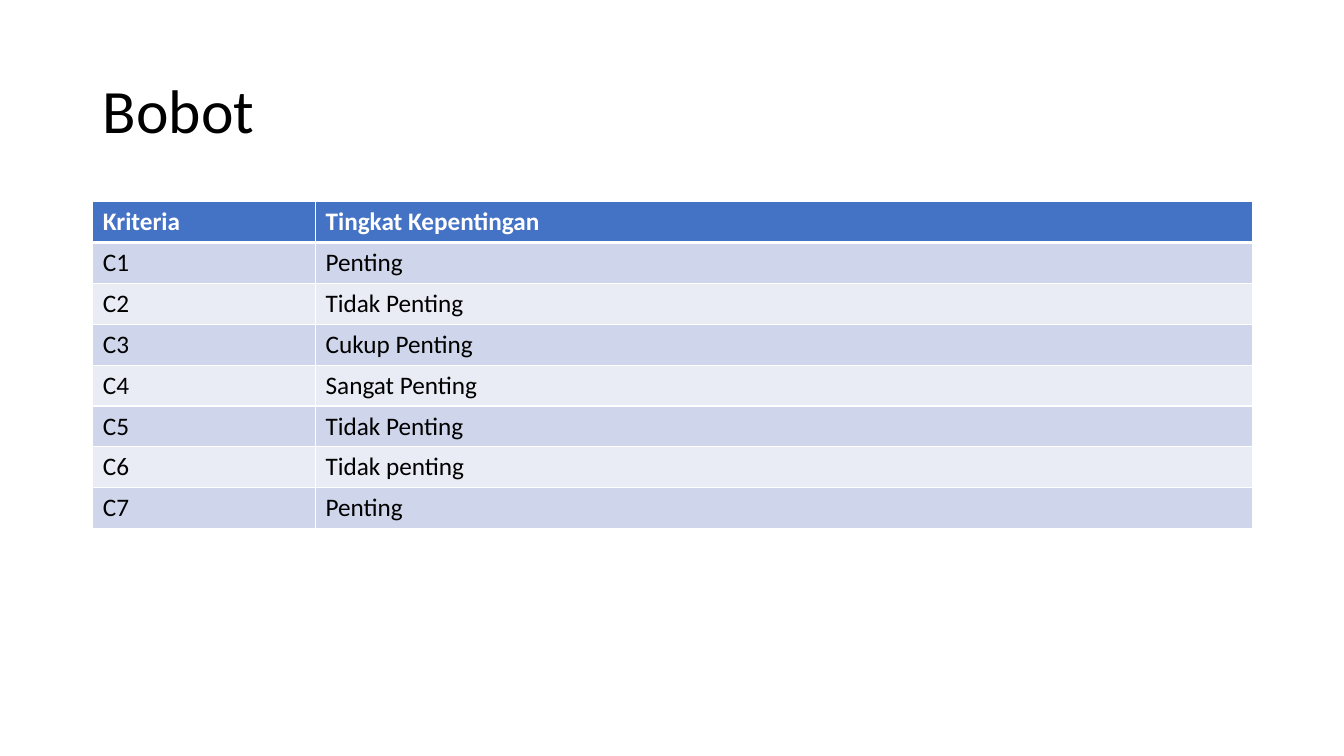
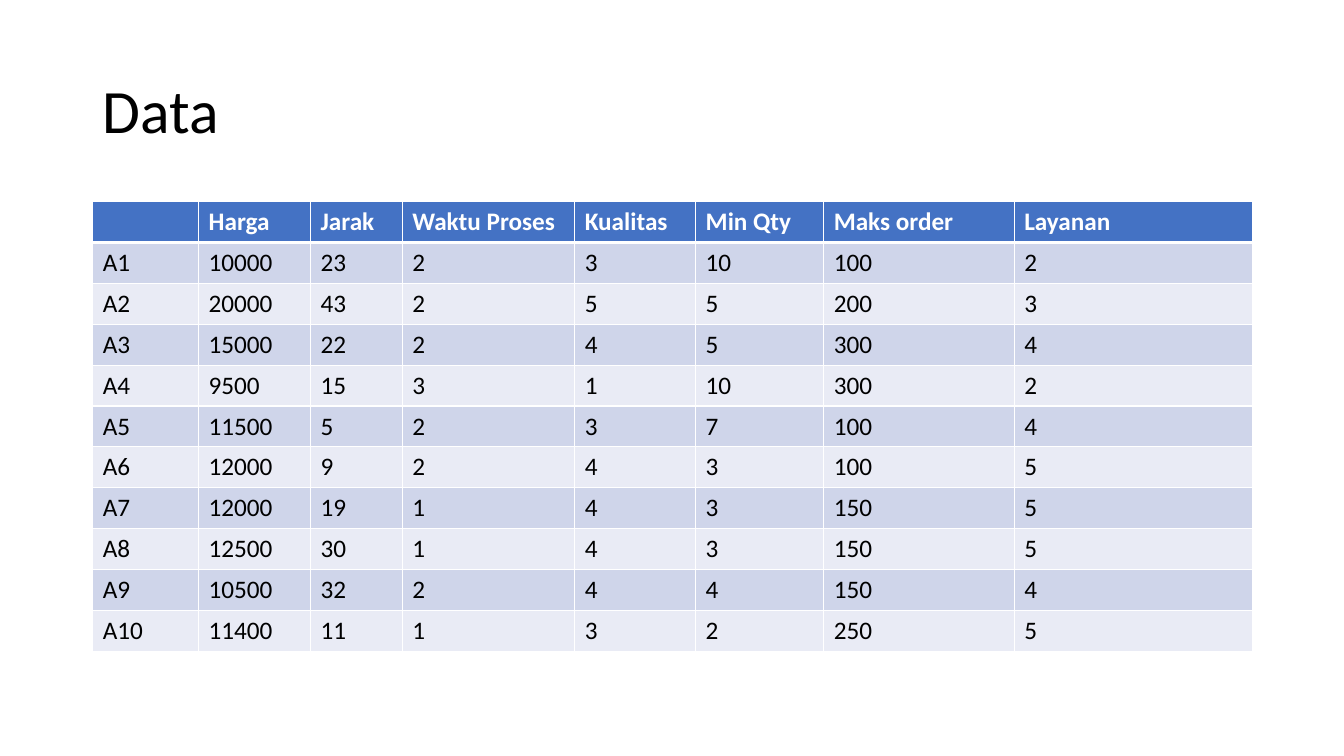
from lxml.etree import SubElement
from pptx import Presentation
from pptx.dml.color import RGBColor
from pptx.enum.text import MSO_ANCHOR, PP_ALIGN
from pptx.oxml.ns import qn
from pptx.util import Inches, Pt


def rgb(color):
    return RGBColor.from_string(color)


class Deck:
    FONT = "Calibri"
    TEXT = "000000"
    WHITE = "FFFFFF"
    HEADER = "4472C4"
    BANDS = ("E9EBF5", "CFD5EA")
    LEFT, WIDTH = Inches(0.92), Inches(11.5)
    TABLE_TOP, ROW_HEIGHT = Inches(2), 0.4055

    def __init__(self):
        self.prs = Presentation()
        self.prs.slide_width = Inches(13.33)
        self.prs.slide_height = Inches(7.5)
        self.s = None

    def add_slide(self, title):
        self.s = self.prs.slides.add_slide(self.prs.slide_layouts[5])
        self.title(title)

    def style(self, p, size, color, bold=False):
        p.alignment = PP_ALIGN.LEFT
        p.font.name = self.FONT
        p.font.size = Pt(size)
        p.font.bold = bold
        p.font.color.rgb = rgb(color)

    def title(self, text):
        sp = self.s.shapes.title
        sp.left, sp.top = self.LEFT, Inches(0.4)
        sp.width, sp.height = self.WIDTH, Inches(1.45)
        tf = sp.text_frame
        tf.text = text
        tf.vertical_anchor = MSO_ANCHOR.MIDDLE
        p = tf.paragraphs[0]
        p.line_spacing = 0.9
        self.style(p, 44, self.TEXT)

    def borders(self, cell, top, bottom):
        tc_pr = cell._tc.get_or_add_tcPr()
        for side, width in (("L", 1), ("R", 1), ("T", top), ("B", bottom)):
            ln = SubElement(tc_pr, qn(f"a:ln{side}"), w=str(Pt(width)))
            fill = SubElement(ln, qn("a:solidFill"))
            SubElement(fill, qn("a:srgbClr"), val=self.WHITE)

    def cell(self, cell, text, row):
        header = row == 0
        cell.text = text
        self.style(cell.text_frame.paragraphs[0], 18,
                   self.WHITE if header else self.TEXT, header)
        self.borders(cell, 3 if row == 1 else 1, 3 if header else 1)
        cell.fill.solid()
        cell.fill.fore_color.rgb = rgb(self.HEADER if header else self.BANDS[row % 2])

    def table(self, widths, rows):
        height = Inches(self.ROW_HEIGHT * len(rows))
        table = self.s.shapes.add_table(len(rows), len(widths), self.LEFT,
                                        self.TABLE_TOP, self.WIDTH, height).table
        for column, width in zip(table.columns, widths):
            column.width = Inches(width)
        for i, values in enumerate(rows):
            table.rows[i].height = Inches(self.ROW_HEIGHT)
            for j, value in enumerate(values):
                self.cell(table.cell(i, j), str(value), i)


WEIGHTS = [
    ("Kriteria", "Tingkat Kepentingan"),
    ("C1", "Penting"),
    ("C2", "Tidak Penting"),
    ("C3", "Cukup Penting"),
    ("C4", "Sangat Penting"),
    ("C5", "Tidak Penting"),
    ("C6", "Tidak penting"),
    ("C7", "Penting"),
]

DATA = [
    ("", "Harga", "Jarak", "Waktu Proses", "Kualitas", "Min Qty", "Maks order", "Layanan"),
    ("A1", 10000, 23, 2, 3, 10, 100, 2),
    ("A2", 20000, 43, 2, 5, 5, 200, 3),
    ("A3", 15000, 22, 2, 4, 5, 300, 4),
    ("A4", 9500, 15, 3, 1, 10, 300, 2),
    ("A5", 11500, 5, 2, 3, 7, 100, 4),
    ("A6", 12000, 9, 2, 4, 3, 100, 5),
    ("A7", 12000, 19, 1, 4, 3, 150, 5),
    ("A8", 12500, 30, 1, 4, 3, 150, 5),
    ("A9", 10500, 32, 2, 4, 4, 150, 4),
    ("A10", 11400, 11, 1, 3, 2, 250, 5),
]


def main():
    deck = Deck()
    deck.add_slide("Bobot")
    deck.table((2.21, 9.29), WEIGHTS)
    deck.add_slide("Data")
    deck.table((1.05, 1.11, 0.91, 1.71, 1.2, 1.27, 1.89, 2.36), DATA)
    deck.prs.save("out.pptx")


if __name__ == "__main__":
    main()
